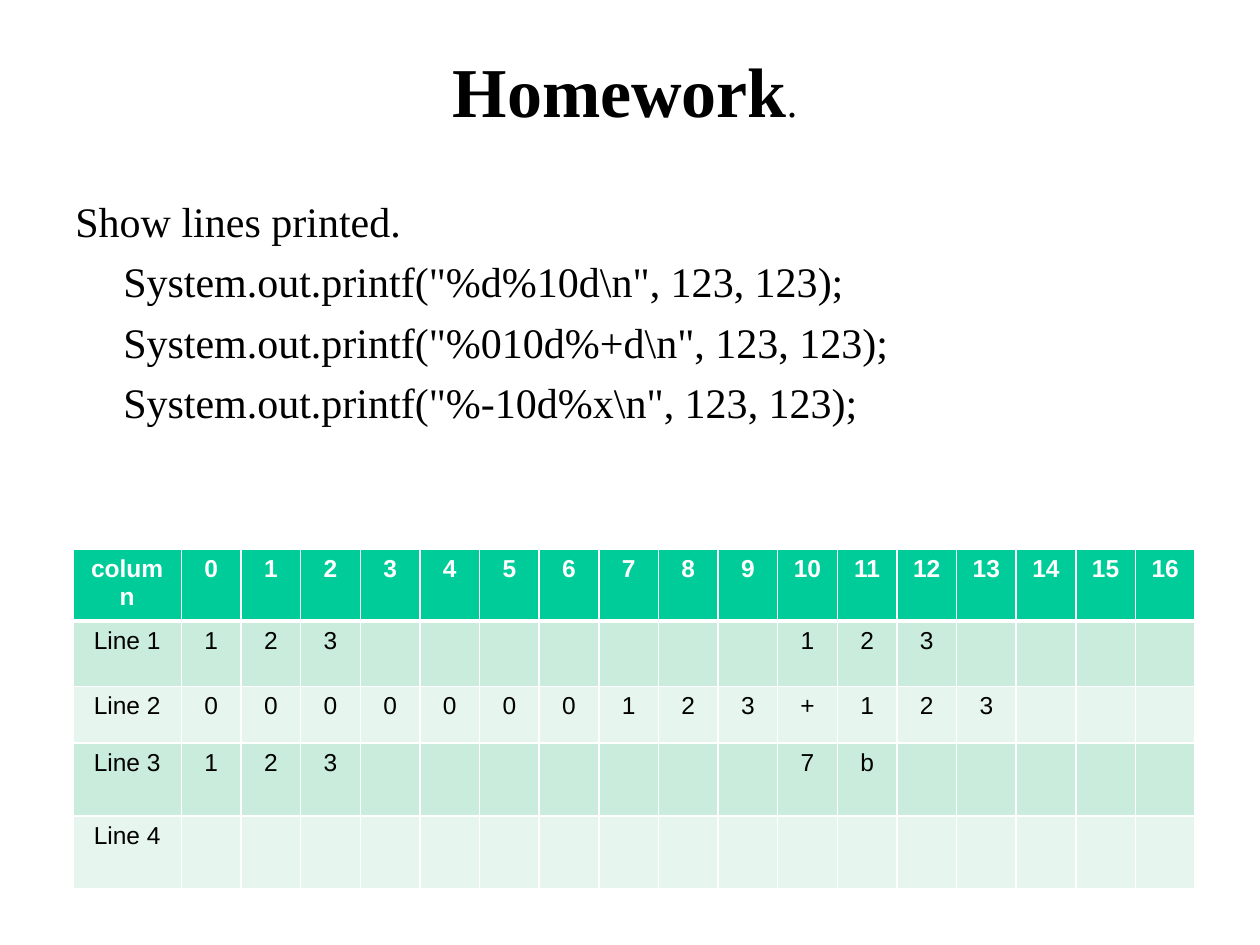
from pptx import Presentation
from pptx.dml.color import RGBColor
from pptx.enum.text import MSO_ANCHOR, PP_ALIGN
from pptx.oxml import parse_xml
from pptx.oxml.ns import nsdecls
from pptx.util import Inches, Pt

BLACK = RGBColor(0x00, 0x00, 0x00)
WHITE = RGBColor(0xFF, 0xFF, 0xFF)
GREEN = RGBColor(0x00, 0xCC, 0x99)
BANDS = [RGBColor(0xCA, 0xEC, 0xDD), RGBColor(0xE6, 0xF6, 0xEF)]
SERIF, SANS = "Times New Roman", "Arial"

# Content
TITLE = [("Homework", 40, True), (".", 24, False)]
TASK = "Show lines printed."
CODE = [
    r'System.out.printf("%d%10d\n", 123, 123);',
    r'System.out.printf("%010d%+d\n", 123, 123);',
    r'System.out.printf("%‑10d%x\n", 123, 123);',
]
COLUMNS = 17
PRINTED = [  # one character per column
    ("Line 1", "123       123"),
    ("Line 2", "0000000123+123"),
    ("Line 3", "123       7b"),
    ("Line 4", ""),
]
TABLE_LEFT, TABLE_TOP, TABLE_WIDTH, LABEL_WIDTH = 0.58, 4.36, 8.91, 0.86
ROW_HEIGHTS = [0.53, 0.52, 0.45, 0.58, 0.58]


def add_text_box(slide, left, top, width, height):
    tf = slide.shapes.add_textbox(
        Inches(left), Inches(top), Inches(width), Inches(height)).text_frame
    tf.word_wrap = True
    return tf


def set_font(p, name, color, size=None, bold=None):
    p.font.name, p.font.size, p.font.bold = name, size, bold
    p.font.color.rgb = color


def add_borders(cell, widths):
    tcPr = cell._tc.get_or_add_tcPr()
    for side, width in widths.items():
        tcPr.append(parse_xml(
            f'<a:ln{side} {nsdecls("a")} w="{Pt(width)}"><a:solidFill>'
            f'<a:srgbClr val="{WHITE}"/></a:solidFill></a:ln{side}>'))


prs = Presentation()
prs.slide_width, prs.slide_height = Inches(10), Inches(7.5)
slide = prs.slides.add_slide(prs.slide_layouts[6])

# Title
tf = add_text_box(slide, 0.75, 0.17, 8.42, 1.08)
tf.vertical_anchor = MSO_ANCHOR.MIDDLE
p = tf.paragraphs[0]
p.alignment = PP_ALIGN.CENTER
set_font(p, SERIF, BLACK)
for text, size, bold in TITLE:
    r = p.add_run()
    r.text, r.font.size, r.font.bold = text, Pt(size), bold

# Task and indented code lines
tf = add_text_box(slide, 0.5, 1.5, 9.08, 2.5)
for i, text in enumerate([TASK] + CODE):
    p = tf.paragraphs[0] if i == 0 else tf.add_paragraph()
    p.text = text
    if i:
        p.space_before = Pt(5.8)
        p._p.get_or_add_pPr().set("marL", str(Inches(0.38)))
    set_font(p, SERIF, BLACK, Pt(24))

# Table of printed characters by column
rows = [["column"] + [str(n) for n in range(COLUMNS)]]
rows += [[label] + list(chars.ljust(COLUMNS)) for label, chars in PRINTED]
table = slide.shapes.add_table(
    len(rows), COLUMNS + 1, Inches(TABLE_LEFT), Inches(TABLE_TOP),
    Inches(TABLE_WIDTH), Inches(sum(ROW_HEIGHTS))).table
for i, column in enumerate(table.columns):
    column.width = Inches(
        (TABLE_WIDTH - LABEL_WIDTH) / COLUMNS if i else LABEL_WIDTH)
for row, height in zip(table.rows, ROW_HEIGHTS):
    row.height = Inches(height)

for i, values in enumerate(rows):
    header = i == 0
    for j, value in enumerate(values):
        cell = table.cell(i, j)
        add_borders(cell, {"L": 1, "R": 1, "T": 3 if i == 1 else 1,
                           "B": 3 if header else 1})
        cell.fill.solid()
        cell.fill.fore_color.rgb = GREEN if header else BANDS[(i - 1) % 2]
        p = cell.text_frame.paragraphs[0]
        p.text = value.strip()
        p.alignment = PP_ALIGN.CENTER
        set_font(p, SANS, WHITE if header else BLACK, Pt(14), header)

prs.save("out.pptx")
